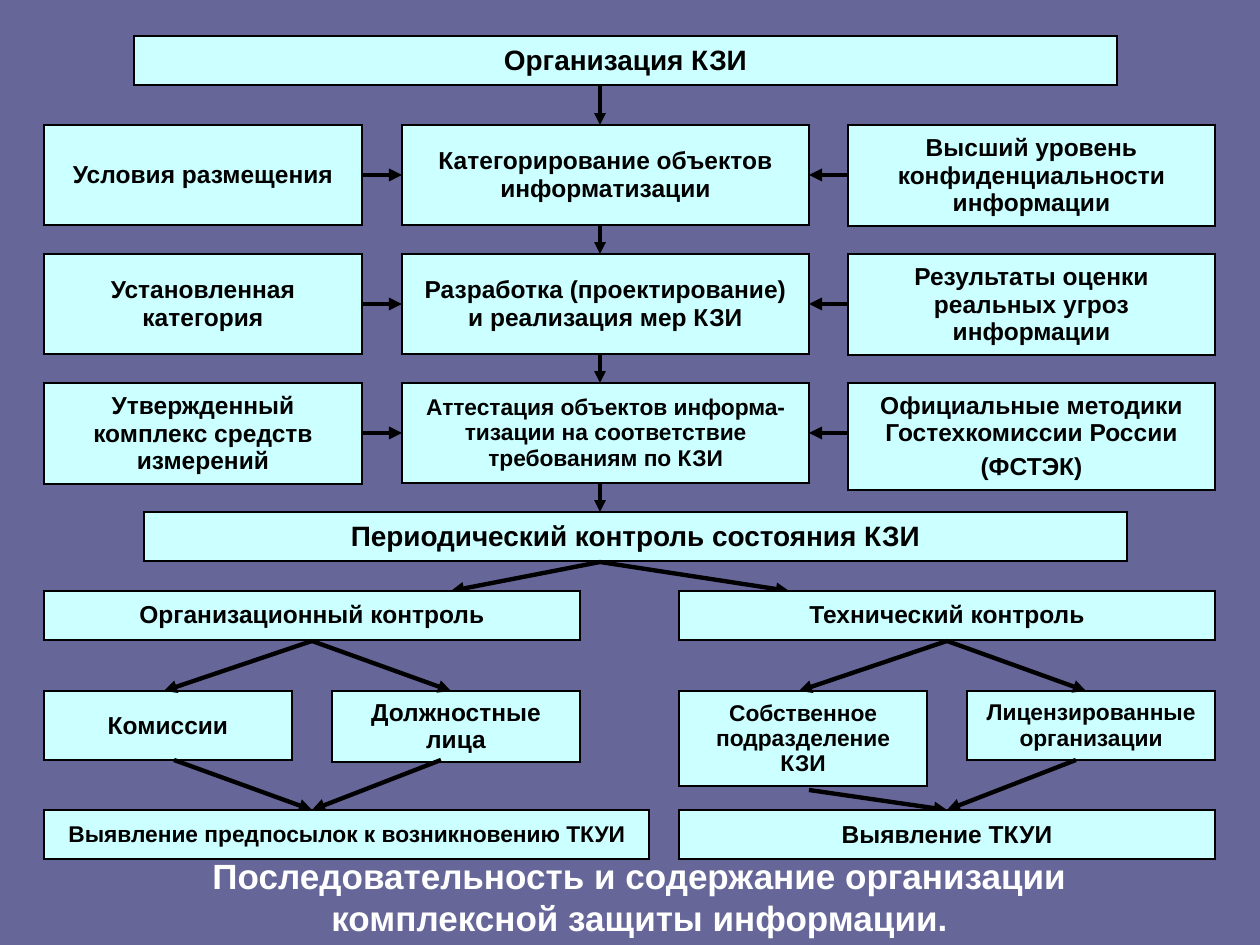
from lxml import etree
from pptx import Presentation
from pptx import util as u
from pptx.dml.color import RGBColor
from pptx.enum import shapes, text
from pptx.oxml.ns import qn

PX = 914400 / 126
HUE = {"back": "666699", "box": "CCFFFF", "ink": "000000", "title": "FFFFFF"}

STAGES = [
    ("Условия размещения", "Категорирование объектов информатизации",
     "Высший уровень конфиденциальности информации"),
    ("Установленная категория", "Разработка (проектирование) и реализация мер КЗИ",
     "Результаты оценки реальных угроз информации"),
    ("Утвержденный комплекс средств измерений",
     "Аттестация объектов информа- тизации на соответствие требованиям по КЗИ",
     "Официальные методики Гостехкомиссии России\n(ФСТЭК)"),
]
SIZES = [(14, 14, 14), (14, 14, 14), (14, 13, 14)]
HIGHS = [(100, 100, 101), (100, 100, 101), (101, 100, 107)]
COLS = [(0, 318), (358, 407), (804, 367)]
PITCH = 129
AXIS = 600


def px(n):
    return u.Emu(round(n * PX))


def rgb(name):
    return RGBColor.from_string(HUE[name])


def write(frame, words, size, hue, gap=0):
    frame.text = words
    for i, para in enumerate(frame.paragraphs):
        para.alignment = text.PP_ALIGN.CENTER
        para.space_before = u.Pt(gap if i else 0)
        for run in para.runs:
            font = run.font
            font.name, font.size, font.bold = "Arial", u.Pt(size), True
            font.color.rgb = rgb(hue)


def edge(cell):
    """Draw a thin line on all four sides of a cell."""
    props = cell._tc.get_or_add_tcPr()
    for side in "LRTB":
        line = etree.SubElement(props, qn("a:ln" + side), w=str(u.Pt(1.08)))
        fill = etree.SubElement(line, qn("a:solidFill"))
        etree.SubElement(fill, qn("a:srgbClr"), val=HUE["ink"])


def block(slide, x, y, w, h, words, size=14):
    """Place a one-cell table."""
    table = slide.shapes.add_table(1, 1, px(x), px(y), px(w), px(h)).table
    table.first_row = table.horz_banding = False
    cell = table.cell(0, 0)
    edge(cell)
    cell.fill.solid()
    cell.fill.fore_color.rgb = rgb("box")
    cell.vertical_anchor = text.MSO_ANCHOR.MIDDLE
    write(cell.text_frame, words, size, "ink", 3.5)


def arrow(slide, x1, y1, x2, y2, width=2.5):
    link = slide.shapes.add_connector(
        shapes.MSO_CONNECTOR.STRAIGHT, px(x1), px(y1), px(x2), px(y2))
    link.line.color.rgb = rgb("ink")
    link.line.width = u.Pt(width)
    etree.SubElement(link.line._get_or_add_ln(), qn("a:tailEnd"), type="triangle")
    etree.SubElement(link._element.spPr, qn("a:effectLst"))


def stages(slide, x, y):
    """Three rows: a step in the middle, fed from both sides."""
    for i, row in enumerate(STAGES):
        top = y + i * PITCH
        for (dx, w), h, words, size in zip(COLS, HIGHS[i], row, SIZES[i]):
            block(slide, x + dx, top, w, h, words, size)
        (a, aw), (b, bw), (c, _) = COLS
        arrow(slide, x + a + aw, top + 50, x + b, top + 50)
        arrow(slide, x + c, top + 50, x + b + bw, top + 50)
        arrow(slide, AXIS, top + 100, AXIS, top + PITCH, 2.25)


def branch(slide, x, y, head, leaves, foot):
    """A kind of control, its two performers and their shared result."""
    block(slide, x, y, 536, 49, head)
    mid = x + 268
    for dx, into, out, (words, size, h, low) in zip(
            (0, 288), (120, 407), (130, 397), leaves):
        block(slide, x + dx, y + 100, 248, h, words, size)
        arrow(slide, mid, y + 50, x + into, y + 100)
        arrow(slide, x + out, y + low, mid, y + 219)
    words, size, w = foot
    block(slide, x, y + 219, w, 49, words, size)


def title(slide, x, y, w, h):
    frame = slide.shapes.add_textbox(px(x), px(y), px(w), px(h)).text_frame
    frame.word_wrap = True
    write(frame, "Последовательность и содержание организации\n"
                 "комплексной защиты информации.", 20, "title")


def main():
    deck = Presentation()
    deck.slide_width, deck.slide_height = u.Inches(10), u.Inches(7.5)
    slide = deck.slides.add_slide(deck.slide_layouts[6])
    slide.background.fill.solid()
    slide.background.fill.fore_color.rgb = rgb("back")

    block(slide, 134, 36, 983, 49, "Организация КЗИ", 16)
    arrow(slide, AXIS, 86, AXIS, 125, 2.25)
    stages(slide, 44, 125)
    block(slide, 144, 512, 983, 49, "Периодический контроль состояния КЗИ", 16)
    for x in (451, 789):
        arrow(slide, AXIS, 562, x, 591)
    branch(slide, 44, 591, "Организационный контроль",
           [("Комиссии", 14, 69, 169), ("Должностные лица", 14, 71, 169)],
           ("Выявление предпосылок к возникновению ТКУИ", 13, 605))
    branch(slide, 679, 591, "Технический контроль",
           [("Собственное подразделение КЗИ", 13, 95, 199),
            ("Лицензированные организации", 13, 69, 169)],
           ("Выявление ТКУИ", 14, 536))
    title(slide, 74, 848, 1131, 97)
    deck.save("out.pptx")


if __name__ == "__main__":
    main()
